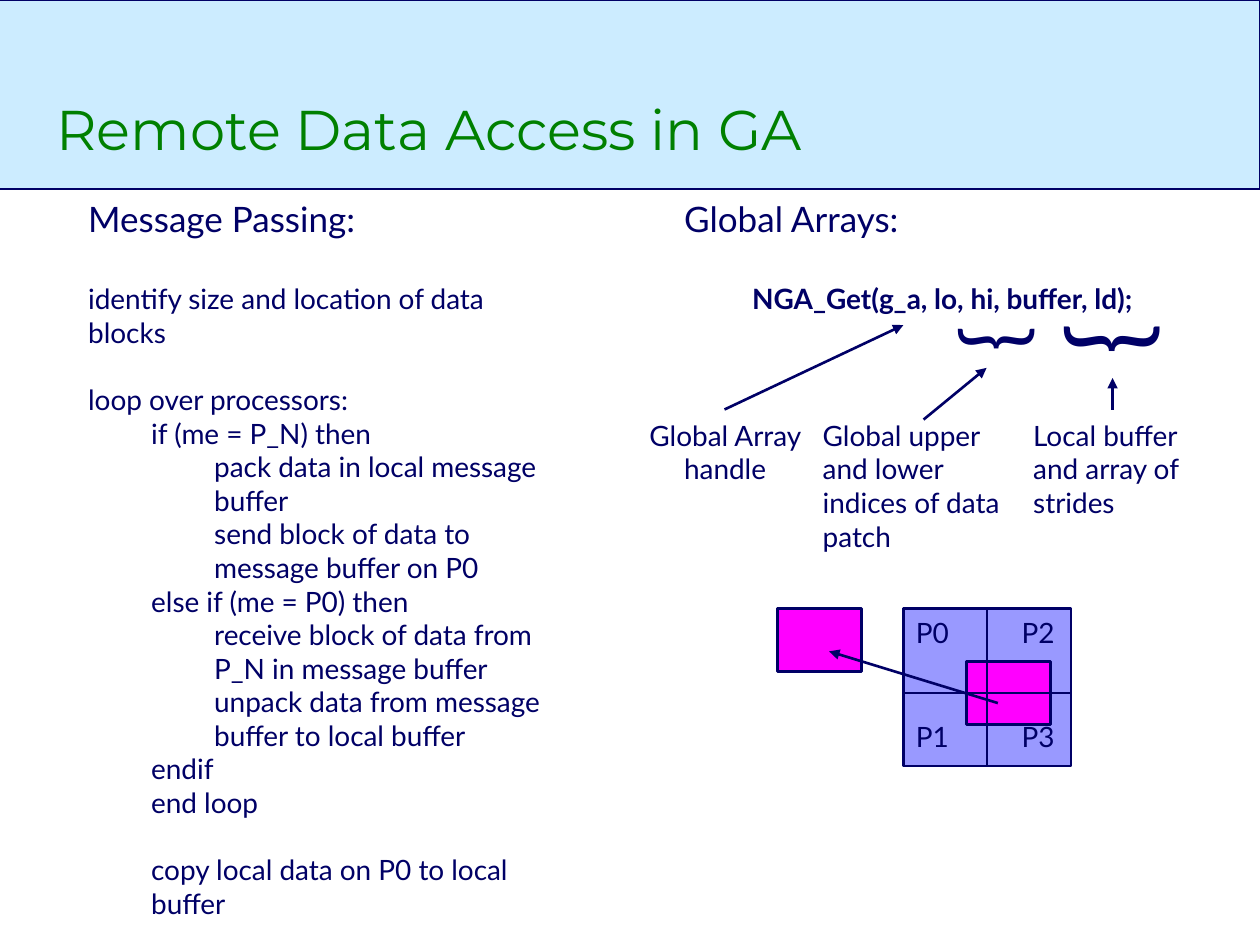
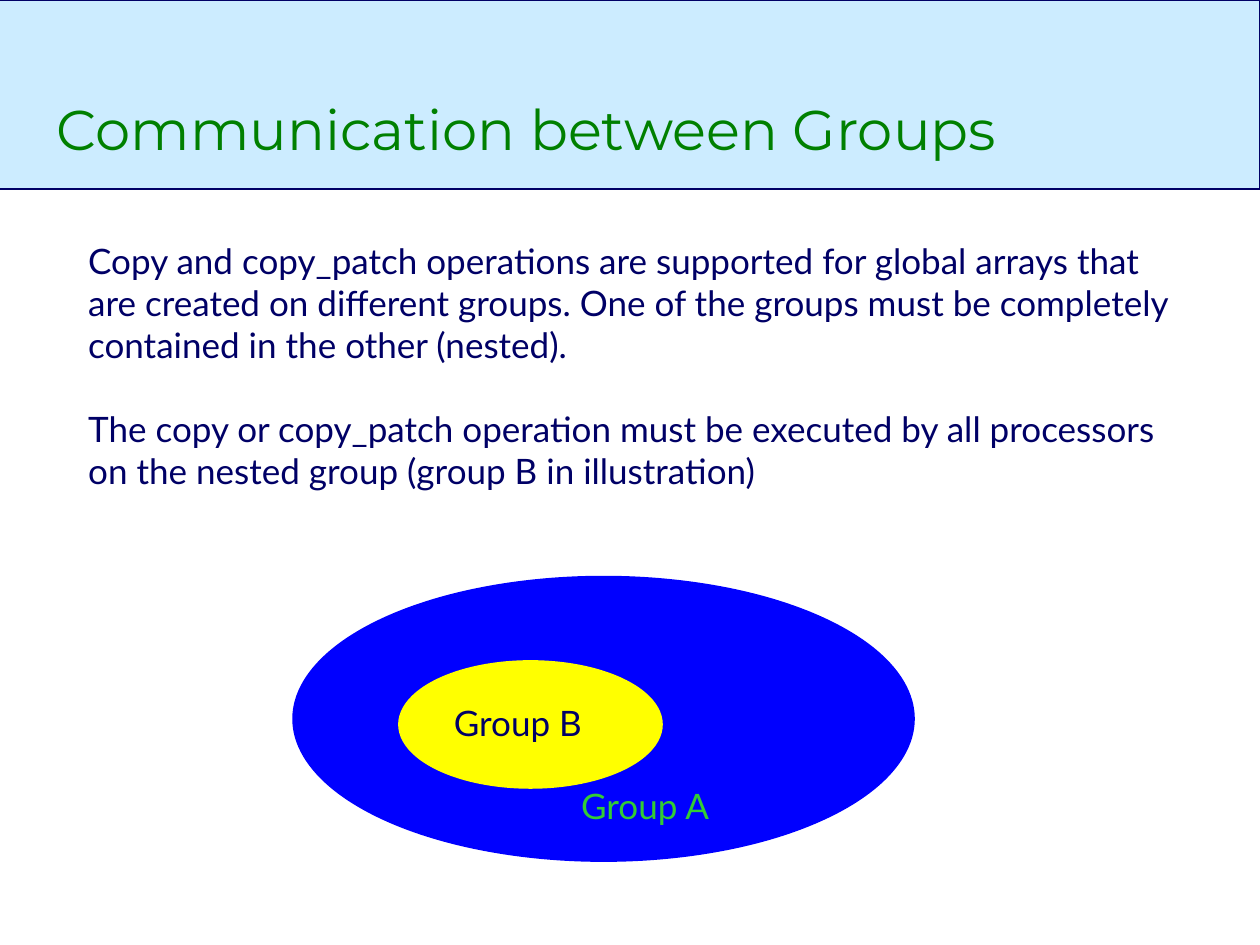
from lxml.etree import SubElement
from pptx import Presentation
from pptx.dml.color import RGBColor
from pptx.enum.shapes import MSO_CONNECTOR, MSO_SHAPE
from pptx.enum.text import MSO_ANCHOR, MSO_AUTO_SIZE, PP_ALIGN
from pptx.oxml.ns import qn
from pptx.util import Inches, Pt

COLORS = {
    "navy": "000066",
    "title": "008000",
    "band": "CCECFF",
    "array": "9999FF",
    "patch": "FF00FF",
    "outer": "0000FF",
    "inner": "FFFF00",
    "outer_label": "33CC33",
}
BODY_FONT = "Lato"
TITLE_FONT = "Montserrat"
LINE_HEIGHT = 1.2  # one line of body text, relative to its size


def rgb(name):
    return RGBColor.from_string(COLORS[name])


# Element helpers
def add_block(slide, box, fill, line="navy", kind=MSO_SHAPE.RECTANGLE):
    block = slide.shapes.add_shape(kind, *map(Inches, box))
    block.shadow.inherit = False
    block.fill.solid()
    block.fill.fore_color.rgb = rgb(fill)
    block.line.color.rgb = rgb(line)
    block.line.width = Pt(1.5)


def add_line(slide, start, end, arrow=False):
    line = slide.shapes.add_connector(
        MSO_CONNECTOR.STRAIGHT, *map(Inches, (*start, *end)))
    line.line.color.rgb = rgb("navy")
    line.line.width = Pt(1.5)
    if arrow:
        SubElement(line.line._get_or_add_ln(), qn("a:tailEnd"), type="triangle")
    SubElement(line._element.spPr, qn("a:effectLst"))


def style_font(font, size, color="navy", name=BODY_FONT, bold=False):
    font.name = name
    font.size = Pt(size)
    font.bold = bold
    font.color.rgb = rgb(color)


def add_frame(slide, box, inset=(0.2, 0.15), wrap=True, rotation=0):
    holder = slide.shapes.add_textbox(*map(Inches, box))
    holder.rotation = rotation
    frame = holder.text_frame
    frame.word_wrap = wrap
    frame.margin_left = frame.margin_right = Inches(inset[0])
    frame.margin_top = frame.margin_bottom = Inches(inset[1])
    return frame


def add_text(slide, box, lines, size=16):
    """Each line is (text, options): size, indent, gap (blank lines' size), bold."""
    frame = add_frame(slide, box)
    frame.auto_size = MSO_AUTO_SIZE.SHAPE_TO_FIT_TEXT
    for number, (text, options) in enumerate(lines):
        paragraph = frame.add_paragraph() if number else frame.paragraphs[0]
        paragraph.text = text
        style_font(paragraph.font, options.get("size", size),
                   bold=options.get("bold", False))
        paragraph.space_before = Pt(LINE_HEIGHT * options.get("gap", 0))
        properties = paragraph._p.get_or_add_pPr()
        properties.set("marL", str(Inches(options.get("indent", 0))))
        properties.set("indent", "0")


def add_label(slide, box, text, size=16, color="navy", wrap=False, rotation=0):
    frame = add_frame(slide, box, wrap=wrap, rotation=rotation)
    frame.auto_size = MSO_AUTO_SIZE.SHAPE_TO_FIT_TEXT
    paragraph = frame.paragraphs[0]
    paragraph.text = text
    paragraph.alignment = PP_ALIGN.CENTER
    style_font(paragraph.font, size, color)


def add_titled_slide(prs, title):
    slide = prs.slides.add_slide(prs.slide_layouts[6])
    add_block(slide, (-0.03, 0, 10.03, 1.5), "band")
    frame = add_frame(slide, (0.35, 0.25, 8.31, 1.08), inset=(0.1, 0.05))
    frame.vertical_anchor = MSO_ANCHOR.BOTTOM
    frame.paragraphs[0].text = title
    style_font(frame.paragraphs[0].font, 32, "title", TITLE_FONT)
    return slide


# Remote data access: parts of the slide
def add_message_passing(slide):
    step, action = {"indent": 0.5}, {"indent": 1}
    add_text(slide, (0.5, 1.42, 4.19, 6.03), [
        ("Message Passing:", {"size": 20}),
        ("identify size and location of data blocks", {"gap": 20}),
        ("loop over processors:", {"gap": 16}),
        ("if (me = P_N) then", step),
        ("pack data in local message buffer", action),
        ("send block of data to message buffer on P0", action),
        ("else if (me = P0) then", step),
        ("receive block of data from P_N in message buffer", action),
        ("unpack data from message buffer to local buffer", action),
        ("endif", step),
        ("end loop", step),
        ("copy local data on P0 to local buffer", {"indent": 0.5, "gap": 16}),
    ])


def add_get_call(slide):
    add_text(slide, (5.23, 1.42, 4.33, 1.23), [
        ("Global Arrays:", {"size": 20}),
        ("NGA_Get(g_a, lo, hi, buffer, ld);",
         {"gap": 20, "indent": 0.54, "bold": True}),
    ])
    # Braces under the arguments
    add_label(slide, (7.64, 2.14, 0.65, 1.1), "}", 48, rotation=90)
    add_label(slide, (8.54, 2.04, 0.72, 1.3), "}", 60, wrap=True, rotation=90)
    # Explanations and their arrows
    top = 3.17
    add_label(slide, (4.92, top, 1.67, 1.1), "Global Array handle", wrap=True)
    add_text(slide, (6.33, top, 2, 1.37),
             [("Global upper and lower indices of data patch", {})])
    add_text(slide, (8, top, 1.75, 1.1),
             [("Local buffer and array of strides", {})])
    for start, end in (((5.75, 3.25), (7.17, 2.58)),
                       ((7.33, 3.33), (7.83, 2.92)),
                       ((8.83, 3.25), (8.83, 3))):
        add_line(slide, start, end, arrow=True)


def add_distributed_array(slide):
    left, top, width, height = 7.17, 4.83, 1.33, 1.25
    middle_x, middle_y = left + width / 2, 5.5
    patch_size = (0.67, 0.5)
    add_block(slide, (left, top, width, height), "array")
    add_block(slide, (7.67, 5.25, *patch_size), "patch")
    add_block(slide, (6.17, top, *patch_size), "patch")
    # Borders between processors
    add_line(slide, (middle_x, top), (middle_x, top + height))
    add_line(slide, (left, middle_y), (left + width, middle_y))
    # Copy of the patch to the local buffer
    add_line(slide, (7.92, 5.58), (6.58, 5.17), arrow=True)
    # Processor names, numbered down the columns
    for processor in range(4):
        column, row = divmod(processor, 2)
        add_label(slide, (7.0 + 0.84 * column, 4.75 + 0.83 * row, 0.8, 0.57),
                  f"P{processor}")


# Slides
def build_remote_access(prs):
    slide = add_titled_slide(prs, "Remote Data Access in GA")
    add_message_passing(slide)
    add_get_call(slide)
    add_distributed_array(slide)


def build_groups(prs):
    slide = add_titled_slide(prs, "Communication between Groups")
    add_text(slide, (0.5, 1.75, 9, 2.3), [
        ("Copy and copy_patch operations are supported for global arrays that "
         "are created on different groups. One of the groups must be "
         "completely contained in the other (nested).", {}),
        ("The copy or copy_patch operation must be executed by all processors "
         "on the nested group (group B in illustration)", {"gap": 20}),
    ], size=20)
    # Nested groups
    add_block(slide, (2.33, 4.58, 4.92, 2.25), "outer", "outer", MSO_SHAPE.OVAL)
    add_label(slide, (4.38, 6.08, 1.48, 0.63), "Group A", 20, "outer_label")
    add_block(slide, (3.17, 5.25, 2.08, 1), "inner", "inner", MSO_SHAPE.OVAL)
    add_label(slide, (3.37, 5.42, 1.48, 0.63), "Group B", 20)


def main():
    prs = Presentation()
    prs.slide_width, prs.slide_height = Inches(10), Inches(7.5)
    build_remote_access(prs)
    build_groups(prs)
    prs.save("out.pptx")


main()
